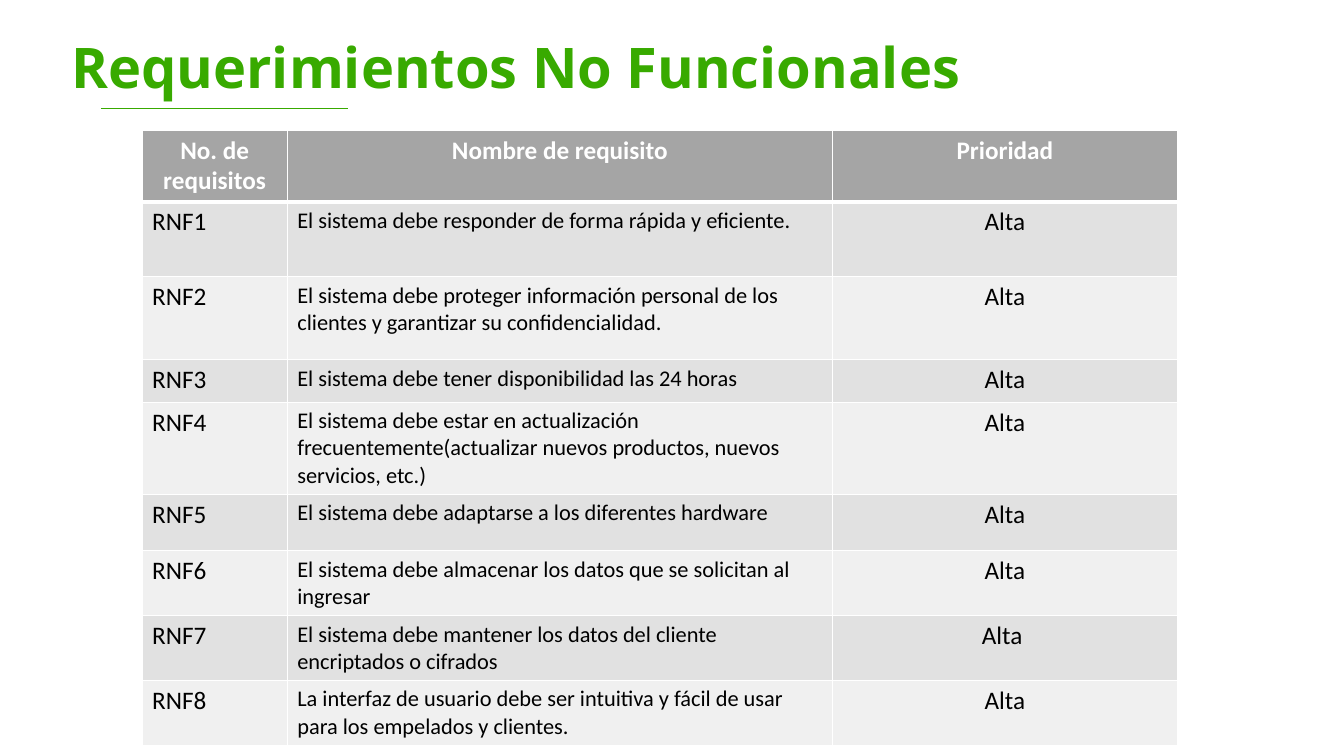
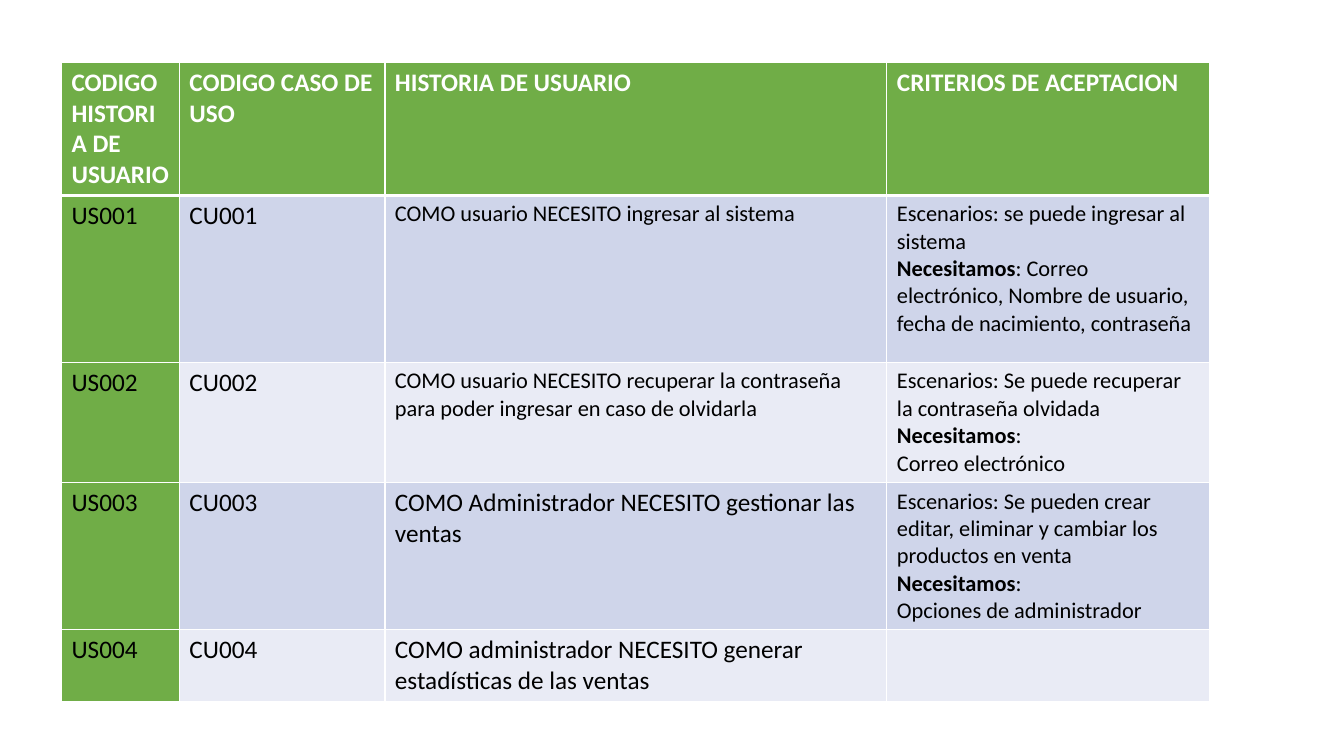
import pptx
import pptx.dml.color
import pptx.enum.shapes
import pptx.enum.text
import pptx.oxml
import pptx.oxml.ns
import pptx.util
from dataclasses import dataclass
from typing import NamedTuple

Cm = pptx.util.Cm
Pt = pptx.util.Pt
LEFT = pptx.enum.text.PP_ALIGN.LEFT
CENTER = pptx.enum.text.PP_ALIGN.CENTER

GREEN = "38AA00"
LEAF = "70AD47"
GRAY = "A5A5A5"
GRAY_BANDS = ("E1E1E1", "F0F0F0")
BLUE_BANDS = ("CFD5EA", "E9EBF5")
WHITE = "FFFFFF"
BLACK = "000000"
TITLE_FONT = "Open Sans"
TABLE_FONT = "Calibri"
LARGE, SMALL = 18, 16


class Span(NamedTuple):
    text: str
    bold: bool = False


class CellText(NamedTuple):
    paragraphs: tuple[tuple[Span, ...], ...]
    size: int = LARGE
    align: int = LEFT


@dataclass
class TableSpec:
    left: float
    top: float
    columns: list[float]
    heights: list[float]
    header: list[str]
    header_fill: str
    header_align: int
    bands: tuple[str, str]
    rows: list[list[CellText]]
    first_column_fill: str | None = None


def color(value: str) -> pptx.dml.color.RGBColor:
    return pptx.dml.color.RGBColor.from_string(value)


def plain(text: str, size: int = LARGE, align: int = LEFT) -> CellText:
    return CellText(((Span(text),),), size, align)


def criteria(scenario: str, needs: str = "", detail: str = "") -> CellText:
    """Scenario, bold label with what follows it, and an optional last line."""
    paragraphs = [(Span(scenario),), (Span("Necesitamos", True), Span(":" + needs))]
    if detail:
        paragraphs.append((Span(detail),))
    return CellText(tuple(paragraphs), SMALL)


def add_run(para, span: Span, size: int, font: str, ink: str) -> None:
    run = para.add_run()
    run.text = span.text
    run.font.name = font
    run.font.size = Pt(size)
    run.font.bold = span.bold
    run.font.color.rgb = color(ink)


def set_borders(cell, top: int, bottom: int) -> None:
    properties = cell._tc.get_or_add_tcPr()
    for side, width in (("L", 1), ("R", 1), ("T", top), ("B", bottom)):
        properties.append(pptx.oxml.parse_xml(
            f'<a:ln{side} {pptx.oxml.ns.nsdecls("a")} w="{Pt(width)}">'
            f'<a:solidFill><a:srgbClr val="{WHITE}"/></a:solidFill></a:ln{side}>'))


def fill_cell(cell, content: CellText, fill: str, ink: str) -> None:
    cell.fill.solid()
    cell.fill.fore_color.rgb = color(fill)
    frame = cell.text_frame
    for index, spans in enumerate(content.paragraphs):
        para = frame.add_paragraph() if index else frame.paragraphs[0]
        para.alignment = content.align
        for span in spans:
            add_run(para, span, content.size, TABLE_FONT, ink)


def add_table(page, spec: TableSpec) -> None:
    header = [CellText(((Span(label, True),),), LARGE, spec.header_align)
              for label in spec.header]
    contents = [header] + spec.rows
    table = page.shapes.add_table(
        len(contents), len(spec.columns), Cm(spec.left), Cm(spec.top),
        Cm(sum(spec.columns)), Cm(sum(spec.heights))).table
    table.horz_banding = False
    for column, width in zip(table.columns, spec.columns):
        column.width = Cm(width)
    for row, height in zip(table.rows, spec.heights):
        row.height = Cm(height)
    for row_index, row in enumerate(contents):
        for column_index, content in enumerate(row):
            cell = table.cell(row_index, column_index)
            # The rule under the header is thicker than the grid
            set_borders(cell, 3 if row_index == 1 else 1, 3 if row_index == 0 else 1)
            if row_index == 0:
                fill, ink = spec.header_fill, WHITE
            else:
                fill, ink = spec.bands[(row_index - 1) % 2], BLACK
                if column_index == 0 and spec.first_column_fill:
                    fill = spec.first_column_fill
            fill_cell(cell, content, fill, ink)


def add_title(page, text: str) -> None:
    box = page.shapes.title
    box.left, box.top, box.width, box.height = Cm(1.8), Cm(0.81), Cm(28), Cm(1.92)
    frame = box.text_frame
    frame.margin_left = frame.margin_right = frame.margin_top = frame.margin_bottom = 0
    frame.vertical_anchor = pptx.enum.text.MSO_ANCHOR.TOP
    frame.auto_size = pptx.enum.text.MSO_AUTO_SIZE.NONE
    para = frame.paragraphs[0]
    para.alignment = LEFT
    add_run(para, Span(text, True), 40, TITLE_FONT, GREEN)

    # Rule under the title
    line = page.shapes.add_connector(
        pptx.enum.shapes.MSO_CONNECTOR.STRAIGHT, Cm(2.54), Cm(2.74), Cm(8.76), Cm(2.74))
    line.line.color.rgb = color(GREEN)
    line.line.width = Pt(1)
    line._element.spPr.append(
        pptx.oxml.parse_xml(f'<a:effectLst {pptx.oxml.ns.nsdecls("a")}/>'))


REQUIREMENTS = [
    "El sistema debe responder de forma rápida y eficiente.",
    "El sistema debe proteger información personal de los clientes y garantizar "
    "su confidencialidad.",
    "El sistema debe tener disponibilidad las 24 horas",
    "El sistema debe estar en actualización frecuentemente(actualizar nuevos "
    "productos, nuevos servicios, etc.)",
    "El sistema debe adaptarse a los diferentes hardware",
    "El sistema debe almacenar los datos que se solicitan al ingresar",
    "El sistema debe mantener los datos del cliente encriptados o cifrados",
    "La interfaz de usuario debe ser intuitiva y fácil de usar para los empelados "
    "y clientes.",
]

STORIES = [
    (plain("COMO usuario NECESITO ingresar al sistema", SMALL),
     criteria("Escenarios: se puede ingresar al sistema",
              " Correo electrónico, Nombre de usuario, fecha de nacimiento, contraseña")),
    (plain("COMO usuario NECESITO recuperar la contraseña para poder ingresar "
           "en caso de olvidarla", SMALL),
     criteria("Escenarios: Se puede recuperar la contraseña olvidada",
              detail="Correo electrónico")),
    (plain("COMO Administrador NECESITO gestionar las ventas"),
     criteria("Escenarios: Se pueden crear editar, eliminar y cambiar los productos "
              "en venta", detail="Opciones de administrador")),
    (plain("COMO administrador NECESITO generar estadísticas de las ventas"),
     CellText(((),))),
]

REQUIREMENT_TABLE = TableSpec(
    left=3.58, top=3.28,
    columns=[3.66, 13.74, 8.69],
    heights=[1.74, 1.89, 2.09, 1.07, 2.29, 1.42, 1.61, 1.61, 1.61],
    header=["No. de requisitos", "Nombre de requisito", "Prioridad"],
    header_fill=GRAY, header_align=CENTER, bands=GRAY_BANDS,
    rows=[[plain(f"RNF{number}"), plain(text, SMALL),
           plain("Alta " if number == 7 else "Alta", align=CENTER)]
          for number, text in enumerate(REQUIREMENTS, 1)])

STORY_TABLE = TableSpec(
    left=1.55, top=1.57,
    columns=[2.97, 5.18, 12.65, 8.13],
    heights=[3.3, 4.21, 3.03, 3.7, 1.79],
    header=["CODIGO HISTORIA DE USUARIO", "CODIGO CASO DE USO",
            "HISTORIA DE USUARIO", "CRITERIOS DE ACEPTACION"],
    header_fill=LEAF, header_align=LEFT, bands=BLUE_BANDS, first_column_fill=LEAF,
    rows=[[plain(f"US{number:03}"), plain(f"CU{number:03}"), story, acceptance]
          for number, (story, acceptance) in enumerate(STORIES, 1)])


def main() -> None:
    deck = pptx.Presentation()
    deck.slide_width, deck.slide_height = Cm(33.87), Cm(19.05)
    title_only, blank = deck.slide_layouts[5], deck.slide_layouts[6]

    # Non-functional requirements
    page = deck.slides.add_slide(title_only)
    add_title(page, "Requerimientos No Funcionales")
    add_table(page, REQUIREMENT_TABLE)

    # User stories
    add_table(deck.slides.add_slide(blank), STORY_TABLE)

    deck.save("out.pptx")


if __name__ == "__main__":
    main()
